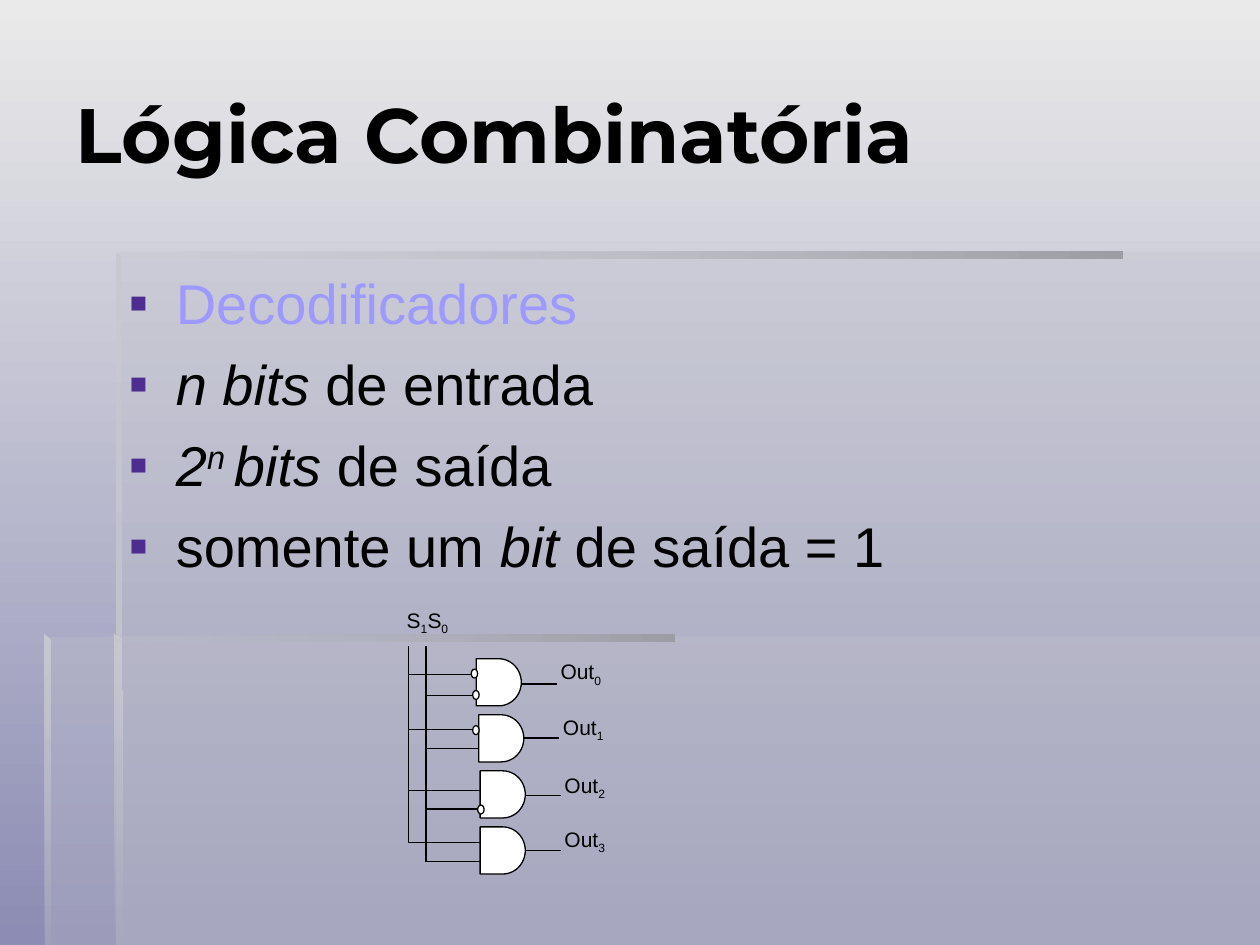
from lxml.etree import SubElement
from pptx import Presentation
from pptx.dml.color import RGBColor
from pptx.enum.shapes import MSO_CONNECTOR, MSO_SHAPE
from pptx.enum.text import MSO_ANCHOR, MSO_AUTO_SIZE, PP_ALIGN
from pptx.oxml.ns import qn
from pptx.util import Cm, Pt

BLACK = RGBColor(0x00, 0x00, 0x00)
WHITE = RGBColor(0xFF, 0xFF, 0xFF)
LILAC = RGBColor(0x9E, 0x99, 0xFF)
PURPLE = RGBColor(0x4E, 0x2D, 0x91)
MIST = RGBColor(0xEA, 0xEA, 0xEA)
SLATE = RGBColor(0x8C, 0x8C, 0xB4)
PANEL = RGBColor(0xC1, 0xC2, 0xCB)
EDGE = RGBColor(0xC7, 0xC8, 0xD0)
BAR = RGBColor(0x9D, 0x9E, 0xA5)

deck = Presentation()
deck.slide_width, deck.slide_height = Cm(25.4), Cm(19.05)
page = deck.slides.add_slide(deck.slide_layouts[1])
shapes = page.shapes


def paint(fill, colors, angle):
    fill.gradient()
    fill.gradient_angle = angle
    for stop, color, position in zip(fill.gradient_stops, colors, (0, 1)):
        stop.color.rgb = color
        stop.position = position


def write(paragraph, pieces, size, color):
    for text, style in pieces:
        span = paragraph.add_run()
        span.text = text
        span.font.color.rgb = color
        settings = {"name": "Arial", "size": Pt(size), "italic": "i" in style}
        for name, value in settings.items():
            setattr(span.font, name, value)
        if "^" in style or "_" in style:
            span.font._element.set("baseline", "30000" if "^" in style else "-25000")


paint(page.background.fill, (MIST, SLATE), 270)

panels = [
    ([(2.34, 12.83), (2.34, 19.05), (25.4, 19.05), (25.4, 12.83)], [PANEL], 0, 30),
    ([(2.39, 12.85), (0.91, 12.85), (0.91, 19.05), (25.4, 19.05), (25.4, 5.08), (2.39, 5.08)],
     [PANEL], 0, 30),
    ([(2.34, 5.08), (2.34, 5.21), (22.63, 5.21), (22.63, 5.08)], [BAR, PANEL], 180, 0),
    ([(2.34, 5.08), (2.34, 12.95), (2.46, 12.95), (2.44, 5.18)], [EDGE, PANEL], 270, 100),
    ([(2.31, 19.05), (2.46, 19.05), (2.44, 12.9), (2.31, 12.8)], [EDGE, PANEL], 270, 0),
    ([(0.89, 12.8), (0.89, 12.93), (13.59, 12.93), (13.59, 12.8)], [BAR, PANEL], 180, 0),
    ([(0.89, 12.8), (0.89, 19.05), (1.02, 19.05), (1.02, 12.93)], [EDGE, PANEL], 270, 10),
]
for points, colors, angle, opacity in panels:
    corners = [(Cm(x), Cm(y)) for x, y in points]
    builder = shapes.build_freeform(*corners[0])
    builder.add_line_segments(corners[1:], close=True)
    panel = builder.convert_to_shape()
    panel.shadow.inherit = False
    panel.line.fill.background()
    if len(colors) == 1:
        panel.fill.solid()
        panel.fill.fore_color.rgb = colors[0]
    else:
        paint(panel.fill, colors, angle)
    last_color = list(panel._element.spPr.iter(qn("a:srgbClr")))[-1]
    SubElement(last_color, qn("a:alpha"), val=str(opacity * 1000))

title, body = shapes.title, page.placeholders[1]
for box, area in ((title, (1.27, 0.69, 23.29, 3.99)), (body, (2.34, 5.28, 22.25, 11.63))):
    box.left, box.top, box.width, box.height = map(Cm, area)
    box.text_frame.auto_size = MSO_AUTO_SIZE.NONE
    shapes._spTree.append(box._element)
title.text_frame.vertical_anchor = MSO_ANCHOR.MIDDLE
title.text_frame.text = "Lógica Combinatória"
heading = title.text_frame.paragraphs[0]
heading.alignment = PP_ALIGN.LEFT
for name, value in {"name": "Montserrat", "size": Pt(44), "bold": True}.items():
    setattr(heading.font, name, value)
heading.font.color.rgb = BLACK

items = [
    [("Decodificadores", "")],
    [("n bits", "i"), (" de entrada", "")],
    [("2", "i"), ("n ", "i^"), ("bits", "i"), (" de saída", "")],
    [("somente um ", ""), ("bit", "i"), (" de saída = 1", "")],
]
for index, pieces in enumerate(items):
    para = body.text_frame.paragraphs[0] if index == 0 else body.text_frame.add_paragraph()
    para.space_before = Pt(8)
    properties = para._element.get_or_add_pPr()
    properties.set("marL", str(Cm(0.95)))
    properties.set("indent", str(-Cm(0.95)))
    bullet_color = SubElement(properties, qn("a:buClr"))
    SubElement(bullet_color, qn("a:srgbClr"), val=str(PURPLE))
    SubElement(properties, qn("a:buFont"), typeface="Arial")
    SubElement(properties, qn("a:buChar"), char="▪")
    write(para, pieces, 32, LILAC if index == 0 else BLACK)

S1, S0 = 8.23, 8.59
GATE_WIDTH, GATE_HEIGHT, GATE_STEP = 0.91, 0.95, 1.13
gates = [
    (9.6, 13.59, 14.02, 13.79, 13.16),
    (9.65, 14.71, 15.09, 14.88, 14.27),
    (9.68, 15.93, 16.31, 16.03, 15.44),
    (9.68, 16.99, 17.37, 17.15, 16.54),
]
bubbles = [(9.5, 13.49), (9.53, 13.92), (9.53, 14.63), (9.63, 16.23)]

symbols = [(MSO_SHAPE.FLOWCHART_DELAY, gate[0], 13.28 + row * GATE_STEP, GATE_WIDTH, GATE_HEIGHT)
           for row, gate in enumerate(gates)]
symbols += [(MSO_SHAPE.OVAL, x, y, 0.13, 0.18) for x, y in bubbles]
wires = [(S1, 13.03, S1, 16.99), (S0, 13.03, S0, 17.37)]
labels = [(7.95, 12.12, [("S", ""), ("1", "_"), ("S", ""), ("0", "_")])]
for row, (left, upper, lower, output, label_top) in enumerate(gates):
    right = left + GATE_WIDTH
    wires += [(S1, upper, left, upper), (S0, lower, left, lower), (right, output, right + 0.71, output)]
    labels.append((left + 1.45, label_top, [("Out", ""), (str(row), "_")]))

for x1, y1, x2, y2 in wires:
    wire = shapes.add_connector(MSO_CONNECTOR.STRAIGHT, Cm(x1), Cm(y1), Cm(x2), Cm(y2))
    wire.line.color.rgb = BLACK
    wire.line.width = Pt(0.75)
    SubElement(wire._element.spPr, qn("a:effectLst"))

for kind, *area in symbols:
    symbol = shapes.add_shape(kind, *map(Cm, area))
    symbol.shadow.inherit = False
    symbol.fill.solid()
    symbol.fill.fore_color.rgb = WHITE
    symbol.line.color.rgb = BLACK
    symbol.line.width = Pt(0.75)

for left, top, pieces in labels:
    label = shapes.add_textbox(Cm(left), Cm(top), Cm(2), Cm(1.1))
    label.text_frame.word_wrap = True
    write(label.text_frame.paragraphs[0], pieces, 12, BLACK)

deck.save("out.pptx")
